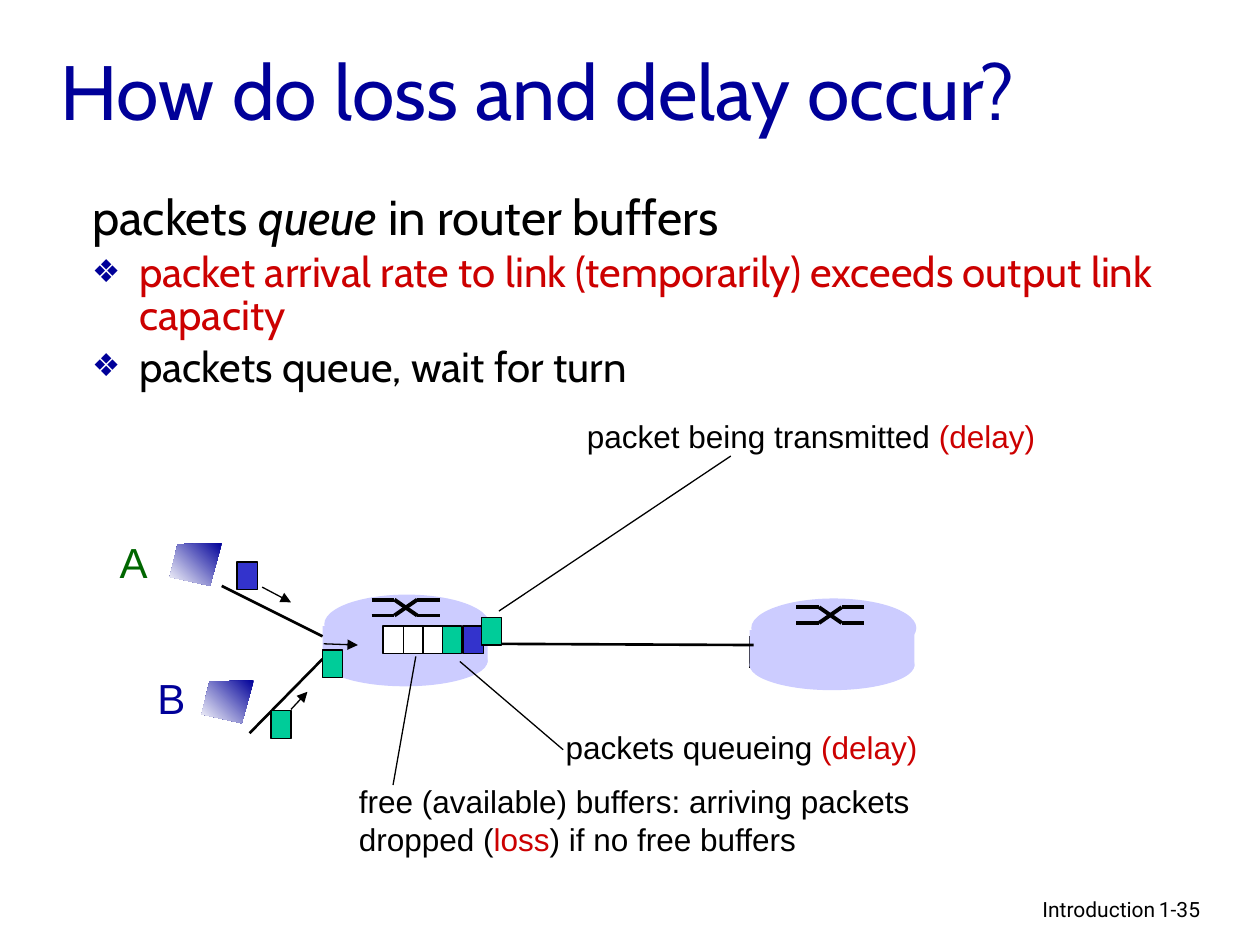
"""Build the slide on how packet loss and delay occur in router buffers."""
import pptx
import pptx.dml.color
import pptx.enum.shapes
import pptx.enum.text
import pptx.oxml
import pptx.oxml.ns
import pptx.util

Pt = pptx.util.Pt
RGBColor = pptx.dml.color.RGBColor
Shape = pptx.enum.shapes.MSO_SHAPE
Align = pptx.enum.text.PP_ALIGN
Anchor = pptx.enum.text.MSO_ANCHOR
AutoSize = pptx.enum.text.MSO_AUTO_SIZE

BLACK = RGBColor(0x00, 0x00, 0x00)
WHITE = RGBColor(0xFF, 0xFF, 0xFF)
NAVY = RGBColor(0x00, 0x00, 0x99)
RED = RGBColor(0xCC, 0x00, 0x00)
DARK_GREEN = RGBColor(0x00, 0x66, 0x00)
LAVENDER = RGBColor(0xCC, 0xCC, 0xFF)
TEAL = RGBColor(0x00, 0xCC, 0x99)
BLUE = RGBColor(0x33, 0x33, 0xCC)

TITLE = "How do loss and delay occur?"
LEAD = [("packets ", False), ("queue", True), (" in router buffers", False)]
BULLETS = [
    ("packet arrival rate to link (temporarily) exceeds output link capacity", RED),
    ("packets queue, wait for turn", BLACK),
]
LABELS = [
    ((61.2, 303.1, 30.2, 36), 24, [[("A", DARK_GREEN)]]),
    ((82.8, 380.9, 30.2, 36), 24, [[("B", NAVY)]]),
    ((328.3, 234.7, 270.7, 28.8), 18,
     [[("packet being transmitted ", BLACK), ("(delay)", RED)]]),
    ((316.1, 412.6, 215.3, 28.8), 18,
     [[("packets queueing ", BLACK), ("(delay)", RED)]]),
    ((198, 443.5, 334.8, 50.4), 18,
     [[("free (available) buffers: arriving packets", BLACK)],
      [("dropped (", BLACK), ("loss", RED), (") if no free buffers", BLACK)]]),
]
FOOTERS = [
    ((439.2, 509, 228.2, 22), "Introduction", Align.RIGHT),
    ((655.2, 509, 53.3, 22), "1-35", Align.LEFT),
]

ROUTERS = [(184.3, 339.8), (428.3, 342)]
ROUTER_PARTS = [
    (Shape.OVAL, 0, 23.6, 28.8),
    (Shape.RECTANGLE, 0, 18, 20.9),
    (Shape.OVAL, 1, 0, 33.8),
]
ROUTER_WIDTH = 94.3
ROUTER_EDGE = (428.4, 363.6, 428.4, 381.6)
SWITCH_ICONS = [(212.4, 342.7), (455, 347)]
ICON_WIDTH, ICON_HEIGHT, ICON_ARM = 39, 9, 13
LINKS = [
    (126.7, 334.8, 184.3, 363.6),
    (142.6, 419, 184.3, 376.6),
    (277.9, 367.9, 430.6, 368.6),
]
CALLOUT_LINES = [
    (417.6, 260.6, 285.1, 349.2),
    (321.8, 428.4, 262.8, 378),
    (224.6, 448.6, 237.6, 375.1),
]
MOTION_ARROWS = [
    (185, 367.9, 204.5, 368.6),
    (166.3, 405.4, 175.7, 395.3),
    (149.8, 335.5, 166.3, 344.2),
]
PACKET_WIDTH, PACKET_HEIGHT = 11.6, 15.8
BUFFER_TOP = 357.8
PACKETS = [
    (252.3, BUFFER_TOP, TEAL), (264.6, BUFFER_TOP, BLUE),
    (184.3, 371.5, TEAL), (275, 352.8, TEAL),
    (135.4, 321.1, BLUE), (154.8, 406.1, TEAL),
] + [(218.9 + 11.2 * slot, BUFFER_TOP, WHITE) for slot in (2, 1, 0)]
HOSTS = [(97, 310.3), (115.2, 388.8)]
HOST_OUTLINE = [(29.8, 0), (4.5, 0.7), (0, 19.4), (23, 24.5)]


def add_child(parent, tag, **attributes):
    child = pptx.oxml.parse_xml(f"<a:{tag} {pptx.oxml.ns.nsdecls('a')}/>")
    for name, value in attributes.items():
        child.set(name, str(value))
    parent.append(child)
    return child


def place(shape, left, top, width, height):
    shape.left, shape.top, shape.width, shape.height = map(Pt, (left, top, width, height))


def add_run(paragraph, text, font_name, size, color, italic=None):
    run = paragraph.add_run()
    run.text = text
    run.font.name, run.font.size, run.font.italic = font_name, Pt(size), italic
    run.font.color.rgb = color


def add_text_box(slide, box, wrap):
    frame = slide.shapes.add_textbox(*map(Pt, box)).text_frame
    frame.word_wrap = wrap
    return frame


def add_label(slide, box, size, lines):
    frame = add_text_box(slide, box, False)
    frame.auto_size = AutoSize.SHAPE_TO_FIT_TEXT
    for index, pieces in enumerate(lines):
        paragraph = frame.add_paragraph() if index else frame.paragraphs[0]
        for text, color in pieces:
            add_run(paragraph, text, "Arial", size, color)


def add_line(slide, ends, width, arrow=False):
    line = slide.shapes.add_connector(
        pptx.enum.shapes.MSO_CONNECTOR.STRAIGHT, *map(Pt, ends))
    line.line.color.rgb = BLACK
    line.line.width = Pt(width)
    if arrow:
        add_child(line.line._get_or_add_ln(), "tailEnd", type="triangle")
    add_child(line._element.spPr, "effectLst")


def add_filled(slide, kind, box, fill, outlined=False):
    shape = slide.shapes.add_shape(kind, *map(Pt, box))
    shape.shadow.inherit = False
    shape.fill.solid()
    shape.fill.fore_color.rgb = fill
    if outlined:
        shape.line.color.rgb = BLACK
        shape.line.width = Pt(0.75)
    else:
        shape.line.fill.background()


def add_switch_icon(slide, left, top):
    inner, right = left + ICON_WIDTH - ICON_ARM, left + ICON_WIDTH
    bottom = top + ICON_HEIGHT
    for start, end in ((top, bottom), (bottom, top)):
        add_line(slide, (left, start, left + ICON_ARM, start), 2.25)
        add_line(slide, (left + ICON_ARM, start, inner, end), 2.25)
        add_line(slide, (inner, end, right, end), 2.25)


def add_host(slide, left, top):
    points = [(Pt(left + x), Pt(top + y)) for x, y in HOST_OUTLINE]
    builder = slide.shapes.build_freeform(*points[0], scale=1.0)
    builder.add_line_segments(points[1:], close=True)
    host = builder.convert_to_shape()
    host.shadow.inherit = False
    host.line.fill.background()
    host.fill.gradient()
    host.fill.gradient_angle = 225
    for stop, color in zip(host.fill.gradient_stops, (NAVY, WHITE)):
        stop.color.rgb = color


def fill_title(title):
    place(title, 27.4, 6.5, 612, 90)
    title.text_frame.vertical_anchor = Anchor.MIDDLE
    title.text_frame.auto_size = AutoSize.NONE
    paragraph = title.text_frame.paragraphs[0]
    paragraph.alignment = Align.LEFT
    add_run(paragraph, TITLE, "Cabin", 44, NAVY)


def fill_body(body):
    place(body, 45.4, 108, 674.6, 166.3)
    frame = body.text_frame
    frame.auto_size = AutoSize.NONE
    paragraphs = [frame.paragraphs[0]] + [frame.add_paragraph() for _ in BULLETS]
    for index, paragraph in enumerate(paragraphs):
        paragraph.line_spacing = 0.85
        paragraph.space_before = Pt(4.8 if index else 0)
        properties = paragraph._p.get_or_add_pPr()
        properties.set("marL", str(Pt(27)))
        properties.set("indent", str(-Pt(27)))
        if index:
            add_child(add_child(properties, "buClr"), "srgbClr", val=NAVY)
            add_child(properties, "buSzPct", val=75000)
            add_child(properties, "buChar", char="❖")
            text, color = BULLETS[index - 1]
            add_run(paragraph, text, "Cabin", 24, color)
        else:
            add_child(properties, "buNone")
            for text, italic in LEAD:
                add_run(paragraph, text, "Cabin", 28, BLACK, italic)


def main():
    presentation = pptx.Presentation()
    presentation.slide_width, presentation.slide_height = Pt(720), Pt(540)
    slide = presentation.slides.add_slide(presentation.slide_layouts[1])
    fill_title(slide.shapes.title)
    fill_body(slide.placeholders[1])
    add_line(slide, ROUTER_EDGE, 1)
    for left, top in ROUTERS:
        for kind, dx, dy, height in ROUTER_PARTS:
            add_filled(slide, kind, (left + dx, top + dy, ROUTER_WIDTH, height), LAVENDER)
    for origin in SWITCH_ICONS:
        add_switch_icon(slide, *origin)
    for lines, width, arrow in ((LINKS, 1.5, False), (CALLOUT_LINES, 0.75, False),
                                (MOTION_ARROWS, 0.75, True)):
        for ends in lines:
            add_line(slide, ends, width, arrow)
    for left, top, color in PACKETS:
        box = (left, top, PACKET_WIDTH, PACKET_HEIGHT)
        add_filled(slide, Shape.RECTANGLE, box, color, outlined=True)
    for origin in HOSTS:
        add_host(slide, *origin)
    for label in LABELS:
        add_label(slide, *label)
    for box, text, alignment in FOOTERS:
        paragraph = add_text_box(slide, box, True).paragraphs[0]
        paragraph.alignment = alignment
        add_run(paragraph, text, "Roboto", 12, BLACK)
    presentation.save("out.pptx")


if __name__ == "__main__":
    main()
